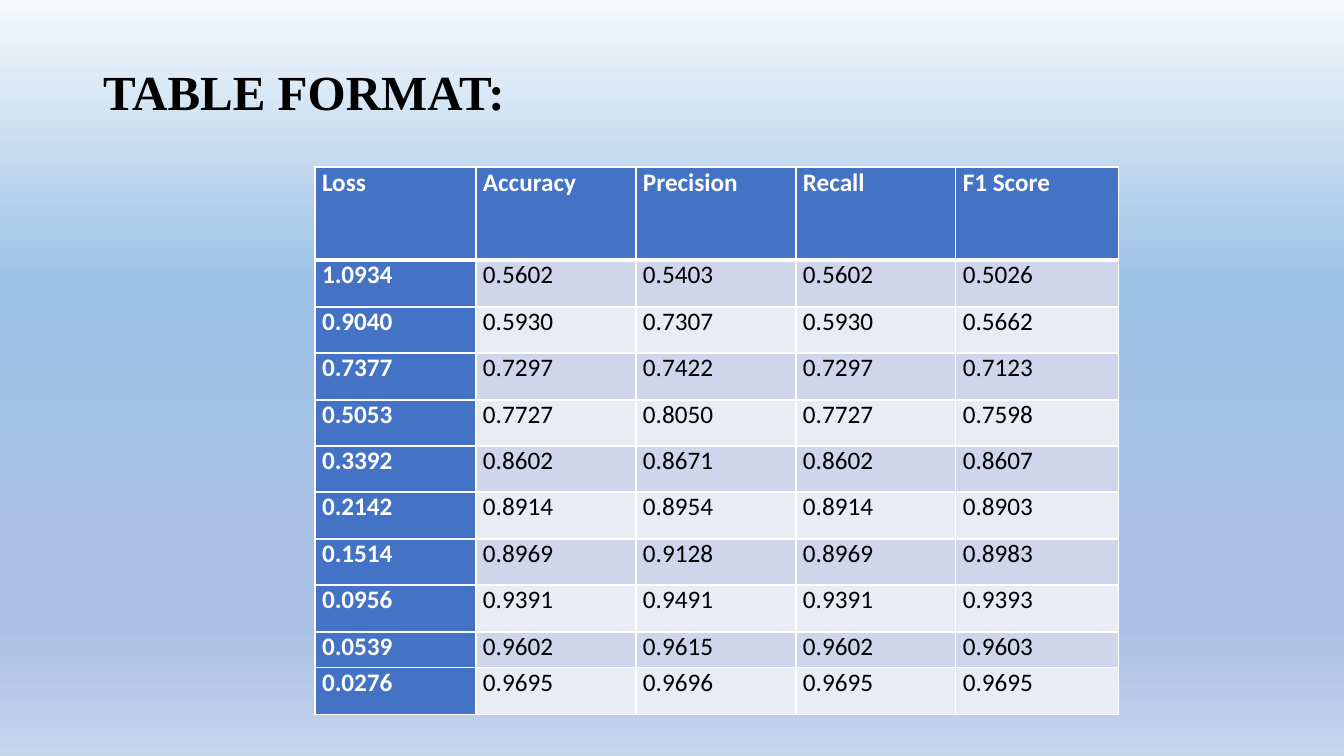
from dataclasses import dataclass
from itertools import pairwise

from lxml import etree
from pptx import Presentation
from pptx.dml.color import RGBColor
from pptx.enum.text import MSO_ANCHOR, MSO_AUTO_SIZE, PP_ALIGN
from pptx.oxml.ns import qn
from pptx.slide import Slide
from pptx.table import _Cell
from pptx.text.text import _Paragraph
from pptx.util import Emu, Pt

LEFT, JUSTIFY = PP_ALIGN.LEFT, PP_ALIGN.JUSTIFY
MIDDLE, NO_AUTOFIT = MSO_ANCHOR.MIDDLE, MSO_AUTO_SIZE.NONE
TITLE_ONLY = 5
PX_PER_INCH = 100.8

BLACK, WHITE, BLUE = "000000", "FFFFFF", "4472C4"
BAND_FILLS = ("CFD5EA", "E9EBF5")
BACKGROUND_STOPS = (
    (0, "F6F8FC"), (10, "DEEBF7"), (20, "C5DBF0"), (37, "9DC3E6"),
    (74, "ABC0E4"), (83, "ABC0E4"), (100, "C7D5ED"),
)

COLUMN_EDGES = (315, 476, 636, 796, 956, 1119)
ROW_EDGES = (167, 260, 307, 353, 400, 446, 492, 539, 585, 632, 668, 715)
METRICS = (
    ("Loss", "Accuracy", "Precision", "Recall", "F1 Score"),
    ("1.0934", "0.5602", "0.5403", "0.5602", "0.5026"),
    ("0.9040", "0.5930", "0.7307", "0.5930", "0.5662"),
    ("0.7377", "0.7297", "0.7422", "0.7297", "0.7123"),
    ("0.5053", "0.7727", "0.8050", "0.7727", "0.7598"),
    ("0.3392", "0.8602", "0.8671", "0.8602", "0.8607"),
    ("0.2142", "0.8914", "0.8954", "0.8914", "0.8903"),
    ("0.1514", "0.8969", "0.9128", "0.8969", "0.8983"),
    ("0.0956", "0.9391", "0.9491", "0.9391", "0.9393"),
    ("0.0539", "0.9602", "0.9615", "0.9602", "0.9603"),
    ("0.0276", "0.9695", "0.9696", "0.9695", "0.9695"),
)


@dataclass(frozen=True)
class TextStyle:
    font: str
    size: int
    color: str
    bold: bool


@dataclass(frozen=True)
class CellStyle:
    fill: str
    text: TextStyle
    bottom_border: int = 1


TITLE_TEXT = TextStyle("Times New Roman", 35, BLACK, True)
HEADING_TEXT = TextStyle("Calibri", 18, WHITE, True)
VALUE_TEXT = TextStyle("Calibri", 18, BLACK, False)


def px(length: int) -> Emu:
    return Emu(round(length * 914400 / PX_PER_INCH))


def rgb(color: str) -> RGBColor:
    return RGBColor.from_string(color)


def add_span(para: _Paragraph, text: str, style: TextStyle) -> None:
    span = para.add_run()
    span.text = text
    span.font.name = style.font
    span.font.size = Pt(style.size)
    span.font.bold = style.bold
    span.font.color.rgb = rgb(style.color)


def paint_background(slide: Slide) -> None:
    fill = slide.background.fill
    fill.gradient()
    fill.gradient_angle = 270
    stops = next(slide.element.iter(qn("a:gsLst")))
    for stop in list(stops):
        stops.remove(stop)
    for percent, color in BACKGROUND_STOPS:
        stop = etree.SubElement(stops, qn("a:gs"), pos=str(percent * 1000))
        etree.SubElement(stop, qn("a:srgbClr"), val=color)


def add_title(slide: Slide) -> None:
    title = slide.shapes.title
    title.left, title.top = px(93), px(22)
    title.width, title.height = px(1159), px(146)
    frame = title.text_frame
    frame.word_wrap = True
    frame.auto_size = NO_AUTOFIT
    frame.vertical_anchor = MIDDLE
    para = frame.paragraphs[0]
    para.alignment = LEFT
    para.line_spacing = 0.9
    add_span(para, "TABLE FORMAT:", TITLE_TEXT)


def set_borders(cell: _Cell, bottom: int) -> None:
    """Put white borders ahead of the fill, as the schema requires."""
    properties = cell._tc.get_or_add_tcPr()
    widths = (("a:lnL", 1), ("a:lnR", 1), ("a:lnT", 1), ("a:lnB", bottom))
    for position, (side, width) in enumerate(widths):
        border = etree.Element(qn(side), w=str(Pt(width)))
        fill = etree.SubElement(border, qn("a:solidFill"))
        etree.SubElement(fill, qn("a:srgbClr"), val=WHITE)
        properties.insert(position, border)


def cell_style(row: int, column: int) -> CellStyle:
    if row == 0:
        return CellStyle(BLUE, HEADING_TEXT, bottom_border=3)
    if column == 0:
        return CellStyle(BLUE, HEADING_TEXT)
    return CellStyle(BAND_FILLS[(row - 1) % 2], VALUE_TEXT)


def fill_cell(cell: _Cell, text: str, style: CellStyle) -> None:
    cell.margin_left = cell.margin_right = px(7)
    cell.margin_top = cell.margin_bottom = 0
    cell.fill.solid()
    cell.fill.fore_color.rgb = rgb(style.fill)
    set_borders(cell, style.bottom_border)
    para = cell.text_frame.paragraphs[0]
    para.alignment = JUSTIFY
    para.space_after = Pt(1.6)
    add_span(para, text, style.text)


def add_metrics_table(slide: Slide) -> None:
    left, top = COLUMN_EDGES[0], ROW_EDGES[0]
    table = slide.shapes.add_table(
        len(METRICS), len(METRICS[0]), px(left), px(top),
        px(COLUMN_EDGES[-1] - left), px(ROW_EDGES[-1] - top),
    ).table
    table.first_col = True
    table.horz_banding = False
    for column, (start, end) in zip(table.columns, pairwise(COLUMN_EDGES)):
        column.width = px(end - start)
    for row, (start, end) in zip(table.rows, pairwise(ROW_EDGES)):
        row.height = px(end - start)
    for row, values in enumerate(METRICS):
        for column, text in enumerate(values):
            fill_cell(table.cell(row, column), text, cell_style(row, column))


def main() -> None:
    deck = Presentation()
    deck.slide_width, deck.slide_height = px(1344), px(756)
    page = deck.slides.add_slide(deck.slide_layouts[TITLE_ONLY])
    paint_background(page)
    add_title(page)
    add_metrics_table(page)
    deck.save("out.pptx")


if __name__ == "__main__":
    main()
